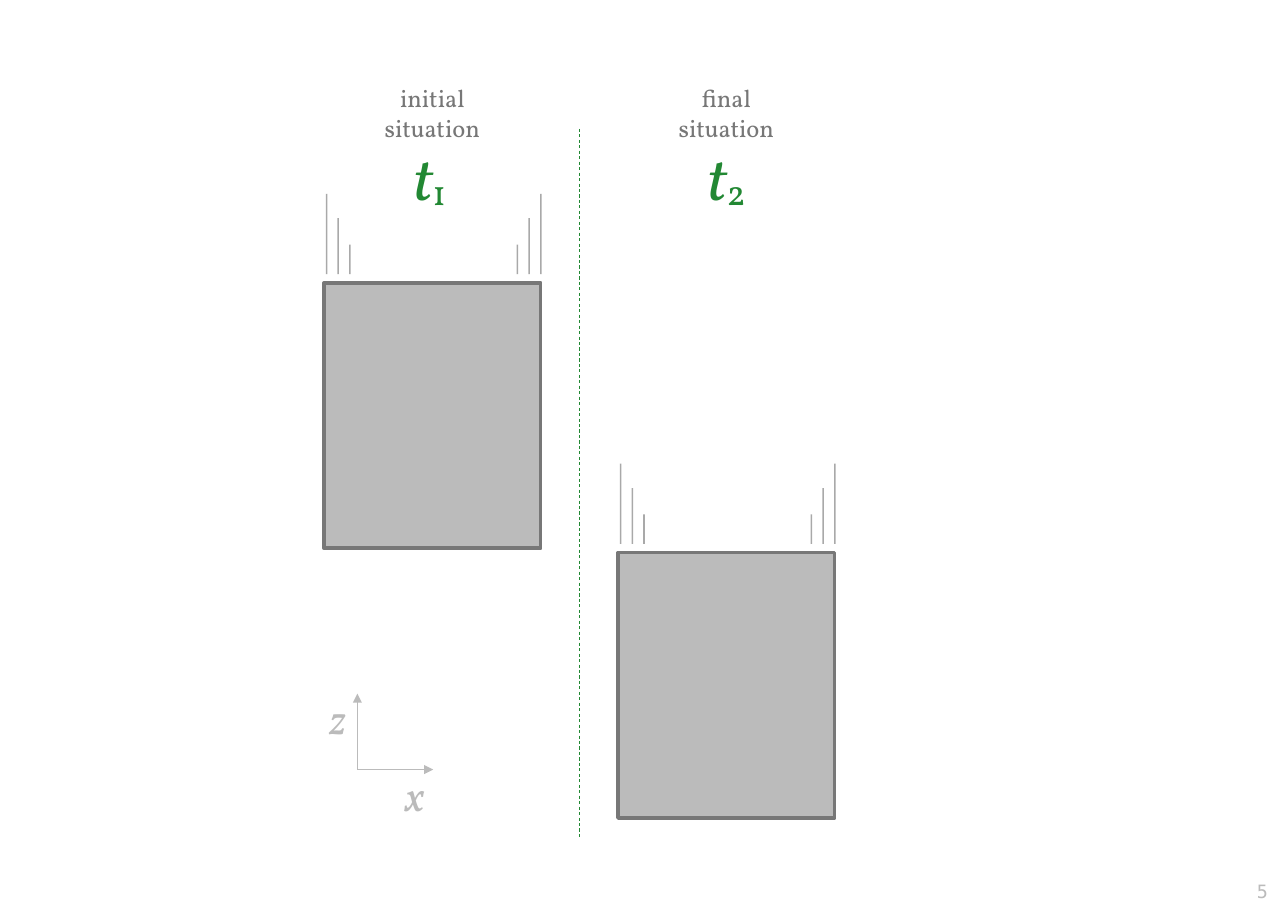
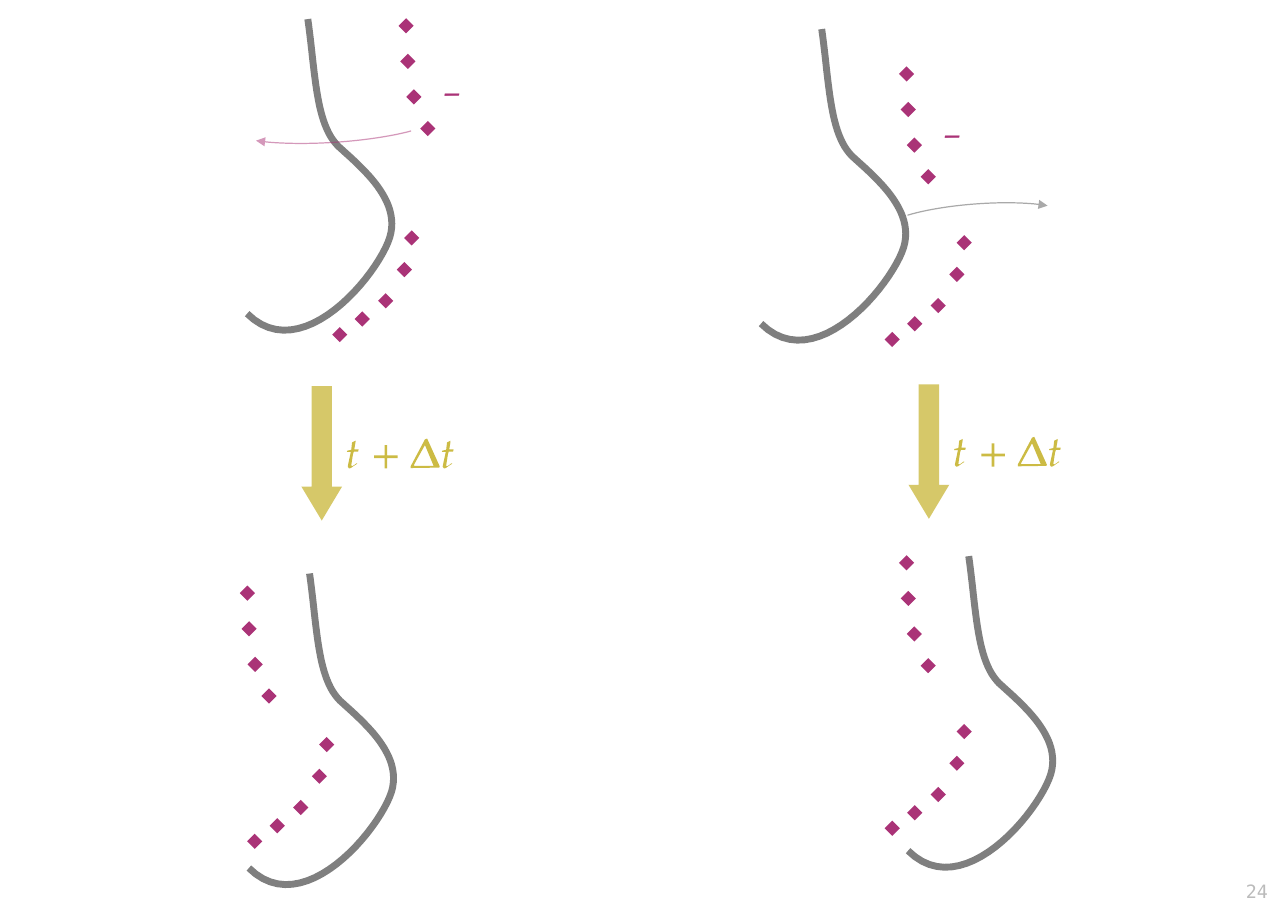
import pptx
import pptx.util
import pptx.dml.color
import pptx.enum.dml
import pptx.enum.shapes
import pptx.enum.text
import pptx.oxml.ns
import pptx.oxml.xmlchemy

Cm = pptx.util.Cm
SHAPE = pptx.enum.shapes.MSO_SHAPE
ALIGN = pptx.enum.text.PP_ALIGN

GREY, DARK, PALE = "777777", "555555", "BBBBBB"
GREEN, PURPLE, GOLD = "228833", "AA3377", "CCBB44"
SERIF, MONO = "Vollkorn", "DejaVu Sans Mono"

UPPER_CHARGES = [(0, 0), (0.04, 0.82), (0.18, 1.64), (0.5, 2.37)]
LOWER_CHARGES = [(0, 0), (-0.17, 0.73), (-0.6, 1.45), (-1.14, 1.87), (-1.66, 2.23)]
PROFILE = [
    [(0, 0), (0.18, 1.3), (0.18, 2.41), (0.7, 2.93)],
    [(0.7, 2.93), (1.26, 3.44), (2.15, 4.17), (1.89, 5.03)],
    [(1.89, 5.03), (1.62, 5.89), (-0.14, 8.04), (-1.4, 6.79)],
]
LETTER_T = [[
    (0.24, 0.53), (0.22, 0.52), (0.17, 0.56), (0.12, 0.59), (0.1, 0.57), (0.14, 0.31),
    (0.16, 0.25), (0.26, 0.25), (0.27, 0.2), (0.17, 0.2), (0.2, 0.03), (0.2, 0),
    (0.12, 0.04), (0.1, 0.21), (0.01, 0.23), (0, 0.26), (0.09, 0.26), (0.03, 0.54),
    (0.02, 0.6), (0.05, 0.64), (0.09, 0.63), (0.19, 0.56),
]]
PLUS = [[
    (0, 0.24), (0.24, 0.24), (0.24, 0), (0.3, 0), (0.3, 0.24), (0.54, 0.24),
    (0.54, 0.3), (0.3, 0.3), (0.3, 0.54), (0.24, 0.54), (0.24, 0.3), (0, 0.3),
]]
DELTA = [
    [(0.33, 0.02), (0, 0.64), (0, 0.68), (0.66, 0.67), (0.67, 0.64), (0.38, 0)],
    [(0.53, 0.63), (0.08, 0.63), (0.08, 0.6), (0.33, 0.15)],
]
TIME_FORMULA = [(LETTER_T, 0, 0), (PLUS, 0.63, 0.1), (DELTA, 1.47, -0.05), (LETTER_T, 2.19, 0)]


def rgb(code):
    return pptx.dml.color.RGBColor.from_string(code)


def paint(fill, color, opacity=100):
    fill.solid()
    fill.fore_color.rgb = rgb(color)
    if opacity < 100:
        solid = fill._xPr.find(pptx.oxml.ns.qn("a:solidFill"))
        add_child(solid[0], "a:alpha", val=str(opacity * 1000))


def add_child(parent, tag, **attributes):
    child = pptx.oxml.xmlchemy.OxmlElement(tag)
    for name, setting in attributes.items():
        child.set(name, setting)
    parent.append(child)


def write(paragraph, text, size=16, color=GREY, font=SERIF, italic=False, bold=False,
          baseline=0, align=None):
    if align is not None:
        paragraph.alignment = align
    run = paragraph.add_run()
    run.text = text
    run.font.size = pptx.util.Pt(size)
    run.font.name = font
    run.font.italic = italic
    run.font.bold = bold
    run.font.color.rgb = rgb(color)
    if baseline:
        run._r.get_or_add_rPr().set("baseline", str(baseline * 1000))


def bezier(controls, steps=24):
    for step in range(1, steps + 1):
        t = step / steps
        weights = ((1 - t) ** 3, 3 * t * (1 - t) ** 2, 3 * t * t * (1 - t), t ** 3)
        yield tuple(sum(w * c[axis] for w, c in zip(weights, controls)) for axis in (0, 1))


class Deck:
    def __init__(self):
        self.show = pptx.Presentation()
        self.show.slide_width = Cm(29.7)
        self.show.slide_height = Cm(21)
        self.slide = None

    def new_slide(self, number):
        self.slide = self.show.slides.add_slide(self.show.slide_layouts[6])
        page = self.text(26.95, 20.17, 2.54, 0.74)
        write(page, number, size=12, color=PALE, font=MONO, align=ALIGN.RIGHT)

    def text(self, left, top, width, height):
        frame = self.slide.shapes.add_textbox(Cm(left), Cm(top), Cm(width), Cm(height)).text_frame
        frame.word_wrap = False
        return frame.paragraphs[0]

    def stroke(self, line, color, width, opacity=100, arrow=False, dash=None):
        paint(line.fill, color, opacity)
        line.width = pptx.util.Pt(width)
        if dash:
            line.dash_style = dash
        if arrow:
            add_child(line._get_or_add_ln(), "a:tailEnd", type="triangle")

    def shape(self, kind, left, top, width, height, fill=None, opacity=100, adjust=()):
        shape = self.slide.shapes.add_shape(kind, Cm(left), Cm(top), Cm(width), Cm(height))
        shape.shadow.inherit = False
        shape.line.fill.background()
        if fill:
            paint(shape.fill, fill, opacity)
        else:
            shape.fill.background()
        for index, amount in enumerate(adjust):
            shape.adjustments[index] = amount
        return shape

    def line(self, x1, y1, x2, y2, color, width=1, **style):
        connector = self.slide.shapes.add_connector(
            pptx.enum.shapes.MSO_CONNECTOR.STRAIGHT, Cm(x1), Cm(y1), Cm(x2), Cm(y2))
        self.stroke(connector.line, color, width, **style)
        add_child(connector._element.spPr, "a:effectLst")

    def arc(self, left, top, width, height, rotation, adjust, color):
        arc = self.shape(SHAPE.ARC, left, top, width, height, adjust=adjust)
        arc.rotation = rotation
        self.stroke(arc.line, color, 0.79, 50, arrow=True)

    def outline(self, left, top, contours, close):
        placed = [[(Cm(left + x), Cm(top + y)) for x, y in contour] for contour in contours]
        builder = self.slide.shapes.build_freeform(*placed[0][0])
        for index, points in enumerate(placed):
            if index:
                builder.move_to(*points[0])
            builder.add_line_segments(points[1:], close=close)
        shape = builder.convert_to_shape()
        shape.shadow.inherit = False
        return shape

    def profile(self, left, top):
        points = [(0, 0)] + [point for part in PROFILE for point in bezier(part)]
        curve = self.outline(left, top, [points], close=False)
        curve.fill.background()
        self.stroke(curve.line, DARK, 4.5, 75)

    def charges(self, left, top, offsets):
        for dx, dy in offsets:
            self.shape(SHAPE.DIAMOND, left + dx, top + dy, 0.35, 0.35, fill=PURPLE)

    def falling_block(self, left, top):
        width = 5
        block = self.shape(SHAPE.RECTANGLE, left, top, width, 6.12, fill=PALE)
        self.stroke(block.line, GREY, 2.3)
        for index, rise in enumerate((2.05, 1.49, 0.88)):
            inset = 0.27 * index
            for x in (left + 0.06 + inset, left + width - inset):
                self.line(x, top - rise, x, top - 0.2, DARK, opacity=50)

    def situation(self, left, top, stage, index):
        self.falling_block(left, top)
        time = self.text(left + 1.8, 3.08, 1.45, 2.18)
        write(time, "t", size=40, color=GREEN, italic=True)
        write(time, index, size=40, color=GREEN, baseline=-8)
        heading = self.text(left + 1.09, 1.8, 2.82, 1.78)
        write(heading, stage, align=ALIGN.CENTER)
        write(heading._parent.add_paragraph(), "situation", align=ALIGN.CENTER)

    def time_step(self, left, top):
        self.shape(SHAPE.DOWN_ARROW, left, top, 0.94, 3.1, fill=GOLD, opacity=80,
                   adjust=(0.5, 0.833))
        for contours, dx, dy in TIME_FORMULA:
            symbol = self.outline(left + 1.05 + dx, top + 1.26 + dy, contours, close=True)
            paint(symbol.fill, GOLD)
            symbol.line.fill.background()


def falling_slide(deck):
    deck.new_slide("5")
    deck.situation(7.47, 6.52, "initial", "1")
    deck.situation(14.25, 12.74, "final", "2")
    deck.line(13.36, 2.97, 13.36, 19.3, GREEN, 0.5, dash=pptx.enum.dml.MSO_LINE.DASH)
    origin_x, origin_z, reach = 8.24, 17.74, 1.75
    deck.line(origin_x, origin_z, origin_x + reach, origin_z, PALE, arrow=True)
    deck.line(origin_x, origin_z, origin_x, origin_z - reach, PALE, arrow=True)
    for axis, left, top in (("z", 7.34, 15.82), ("x", 9.09, 17.6)):
        write(deck.text(left, top, 0.97, 1.6), axis, size=28, color=PALE, italic=True)


def charges_slide(deck):
    deck.new_slide("24")
    panels = [
        ((7.14, 13.22), (5.53, 13.5), (7.36, 16.99)),
        ((22.34, 12.82), (20.73, 12.8), (22.06, 16.69)),
        ((18.95, 0.67), (20.73, 1.53), (22.06, 5.42)),
        ((7.1, 0.44), (9.19, 0.42), (9.32, 5.31)),
    ]
    for profile, upper, lower in panels:
        deck.profile(*profile)
        deck.charges(*upper, UPPER_CHARGES)
        deck.charges(*lower, LOWER_CHARGES)
    deck.time_step(6.95, 8.9)
    deck.time_step(20.95, 8.86)
    deck.arc(5.28, 2.34, 4.88, 0.94, 356.1, (6.42, 102.29), PURPLE)
    deck.arc(20.32, 4.7, 4.39, 0.94, 175.7, (7.09, 101.77), DARK)
    for left, top in ((21.49, 2.49), (9.96, 1.52)):
        write(deck.text(left, top, 0.86, 1.27), "–", size=21, color=PURPLE, bold=True)


def main():
    deck = Deck()
    falling_slide(deck)
    charges_slide(deck)
    deck.show.save("out.pptx")


if __name__ == "__main__":
    main()
